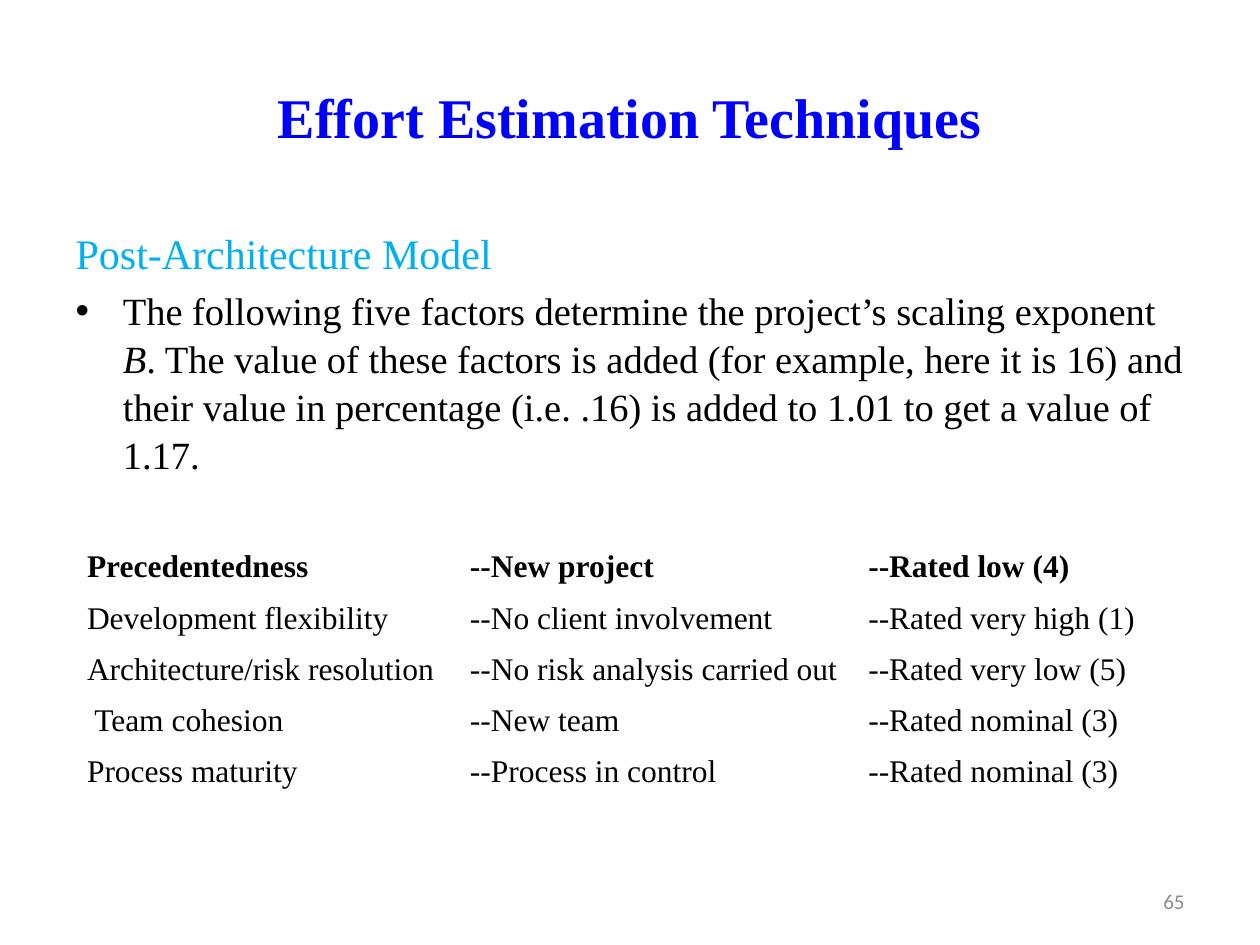
"""Build the Post-Architecture Model slide on effort estimation."""
from dataclasses import dataclass

import lxml.etree
import pptx
import pptx.dml.color
import pptx.enum.text
import pptx.oxml.ns
import pptx.util

Cm = pptx.util.Cm
RGB = pptx.dml.color.RGBColor
ALIGN = pptx.enum.text.PP_ALIGN
ANCHOR = pptx.enum.text.MSO_ANCHOR


@dataclass(frozen=True)
class TextStyle:
    size: float
    colour: str
    family: str = "Times New Roman"
    bold: bool = False


@dataclass(frozen=True)
class Theme:
    title: TextStyle = TextStyle(32, "0000FF", bold=True)
    heading: TextStyle = TextStyle(24, "00B0F0")
    body: TextStyle = TextStyle(22, "000000")
    first_factor: TextStyle = TextStyle(18, "000000", bold=True)
    factor: TextStyle = TextStyle(18, "000000")
    number: TextStyle = TextStyle(12, "8C8C8C", family="Calibri")


@dataclass(frozen=True)
class Box:
    left: float
    top: float
    width: float
    height: float

    def lengths(self) -> tuple:
        return tuple(Cm(v) for v in (self.left, self.top, self.width, self.height))


@dataclass(frozen=True)
class Factor:
    name: str
    situation: str
    rating: str


THEME = Theme()
TITLE_BOX = Box(1.27, 0.76, 22.86, 3.18)
BODY_BOX = Box(1.27, 4.45, 22.86, 12.57)
TABLE_BOX = Box(1.5, 10.92, 23.19, 5.15)
NUMBER_BOX = Box(18.21, 17.65, 5.92, 1.02)
COLUMN_WIDTHS = (7.72, 8.03, 7.44)
FACTORS = (
    Factor("Precedentedness", "--New project", "--Rated low (4)"),
    Factor("Development flexibility", "--No client involvement", "--Rated very high (1)"),
    Factor("Architecture/risk resolution", "--No risk analysis carried out", "--Rated very low (5)"),
    Factor(" Team cohesion", "--New team", "--Rated nominal (3)"),
    Factor("Process maturity", "--Process in control", "--Rated nominal (3)"),
)


def apply_style(paragraph, style: TextStyle) -> None:
    font = paragraph.font
    font.name = style.family
    font.size = pptx.util.Pt(style.size)
    font.bold = style.bold
    font.color.rgb = RGB.from_string(style.colour)


def place(shape, box: Box) -> None:
    shape.left, shape.top, shape.width, shape.height = box.lengths()


def remove_bullet(paragraph) -> None:
    properties = paragraph._p.get_or_add_pPr()
    properties.set("marL", "0")
    properties.set("indent", "0")
    lxml.etree.SubElement(properties, pptx.oxml.ns.qn("a:buNone"))


def fill_title(title) -> None:
    place(title, TITLE_BOX)
    title.text_frame.text = "Effort Estimation Techniques"
    apply_style(title.text_frame.paragraphs[0], THEME.title)


def fill_body(body) -> None:
    place(body, BODY_BOX)
    frame = body.text_frame
    frame.auto_size = pptx.enum.text.MSO_AUTO_SIZE.NONE
    heading = frame.paragraphs[0]
    heading.text = "Post-Architecture Model"
    remove_bullet(heading)
    heading.space_before = pptx.util.Pt(0)
    apply_style(heading, THEME.heading)

    explanation = frame.add_paragraph()
    explanation.add_run().text = "The following five factors determine the project’s scaling exponent "
    exponent = explanation.add_run()
    exponent.text = "B"
    exponent.font.italic = True
    explanation.add_run().text = (
        ". The value of these factors is added (for example, here it is 16) and "
        "their value in percentage (i.e. .16) is added to 1.01 to get a value of 1.17."
    )
    explanation.line_spacing = 1.04
    apply_style(explanation, THEME.body)


def add_factors(slide, factors: tuple[Factor, ...]) -> None:
    table = slide.shapes.add_table(len(factors), len(COLUMN_WIDTHS), *TABLE_BOX.lengths()).table
    table.first_row = False
    table.horz_banding = False
    for column, width in zip(table.columns, COLUMN_WIDTHS):
        column.width = Cm(width)
    for index, (row, factor) in enumerate(zip(table.rows, factors)):
        style = THEME.factor if index else THEME.first_factor
        for cell, words in zip(row.cells, (factor.name, factor.situation, factor.rating)):
            cell.fill.background()
            cell.vertical_anchor = ANCHOR.MIDDLE
            cell.text = words
            apply_style(cell.text_frame.paragraphs[0], style)


def add_slide_number(slide, number: int) -> None:
    frame = slide.shapes.add_textbox(*NUMBER_BOX.lengths()).text_frame
    frame.word_wrap = True
    frame.vertical_anchor = ANCHOR.MIDDLE
    frame.text = str(number)
    frame.paragraphs[0].alignment = ALIGN.RIGHT
    apply_style(frame.paragraphs[0], THEME.number)


def main() -> None:
    deck = pptx.Presentation()
    deck.slide_width, deck.slide_height = Cm(25.4), Cm(19.05)
    slide = deck.slides.add_slide(deck.slide_layouts[1])
    fill_title(slide.shapes.title)
    fill_body(slide.placeholders[1])
    add_factors(slide, FACTORS)
    add_slide_number(slide, 65)
    deck.save("out.pptx")


if __name__ == "__main__":
    main()
